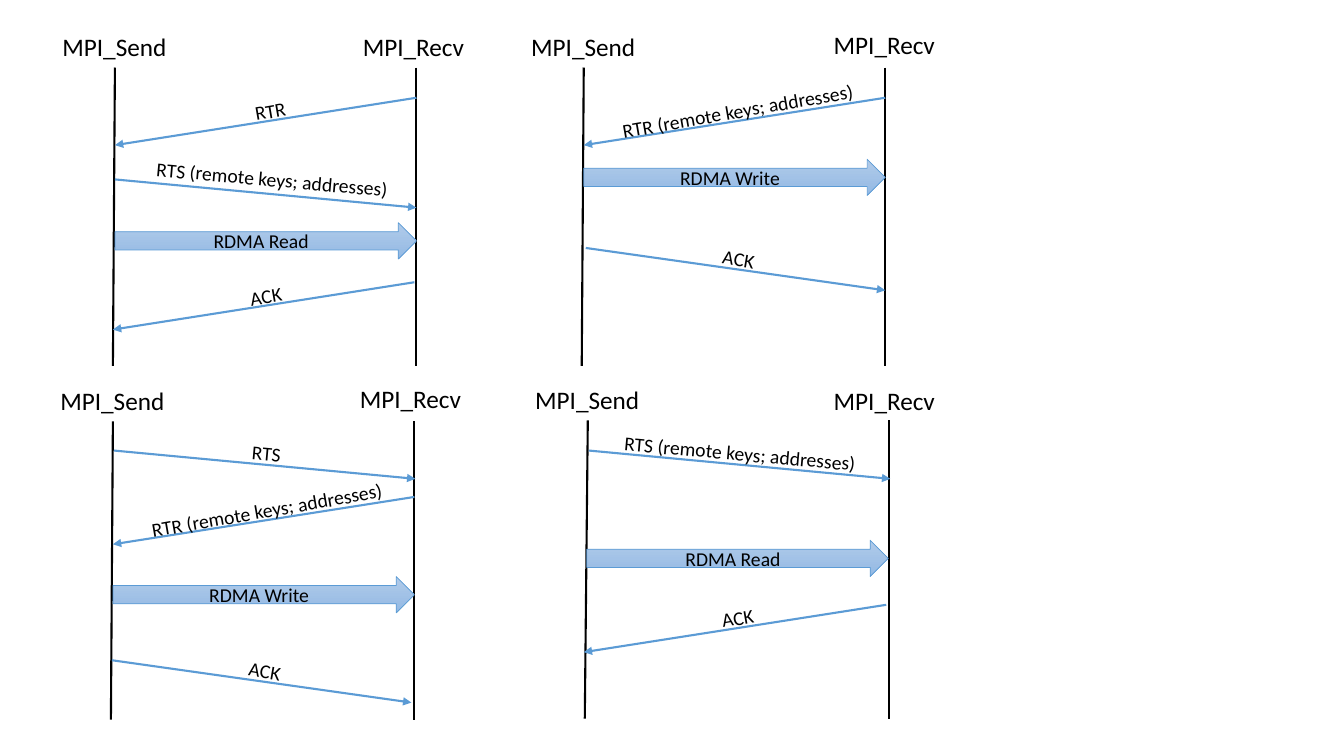
"""Draw four message sequences between MPI_Send and MPI_Recv."""
from dataclasses import dataclass

from lxml import etree
from pptx import Presentation
from pptx.dml.color import RGBColor
from pptx.enum.shapes import MSO_CONNECTOR, MSO_SHAPE
from pptx.enum.text import MSO_ANCHOR, MSO_AUTO_SIZE, PP_ALIGN
from pptx.oxml.ns import qn
from pptx.shapes.shapetree import GroupShapes
from pptx.text.text import TextFrame
from pptx.util import Inches, Pt

STRAIGHT = MSO_CONNECTOR.STRAIGHT
ARROW = MSO_SHAPE.RIGHT_ARROW
MIDDLE = MSO_ANCHOR.MIDDLE
GROW = MSO_AUTO_SIZE.SHAPE_TO_FIT_TEXT
CENTER = PP_ALIGN.CENTER

BLACK, BLUE = "000000", "5B9BD5"
FADE = ("B1CBE9", "93B9E4")
SPAN, DEPTH = 2.99, 2.96
BACK, DOWN, STEEP = 350.1, 5.1, 9.9
DROP = {BACK: 0.47, DOWN: 0.28, STEEP: 0.42}
KEYS = " (remote keys; addresses)"
WIDTH = {"RTR": 0.51, "RTS": 0.49, "ACK": 0.52,
         "RTR" + KEYS: 2.54, "RTS" + KEYS: 2.52}


@dataclass(frozen=True)
class Message:
    """A slanted arrow with its label, in slide inches."""
    text: str
    tilt: float
    start: float
    end: float
    top: float
    left: float
    label: float


@dataclass(frozen=True)
class Panel:
    """One sequence: lifelines, heads, data transfer and messages."""
    left: float
    top: float
    lean: float
    recv: tuple[float, float]
    data: tuple[str, float, float]
    notes: tuple[Message, ...]


PANELS = (
    Panel(1.14, 0.67, 0.02, (3.5, 0.26), ("RDMA Read", 1.14, 2.21), (
        Message("RTR", BACK, 4.13, 1.14, 0.97, 2.43, 0.93),
        Message("RTS" + KEYS, DOWN, 1.14, 4.13, 1.78, 1.45, 1.61),
        Message("ACK", BACK, 4.11, 1.12, 2.8, 2.38, 2.77))),
    Panel(5.79, 0.67, 0.02, (8.17, 0.24), ("RDMA Write", 5.79, 1.58), (
        Message("RTR" + KEYS, BACK, 8.78, 5.79, 0.97, 6.06, 0.93),
        Message("ACK", STEEP, 5.81, 8.78, 2.46, 7.07, 2.4))),
    Panel(1.12, 4.18, 0.02, (3.47, 3.75), ("RDMA Write", 1.12, 5.72), (
        Message("RTS", DOWN, 1.13, 4.12, 4.47, 2.4, 4.33),
        Message("RTR" + KEYS, BACK, 4.11, 1.12, 4.93, 1.39, 4.89),
        Message("ACK", STEEP, 1.11, 4.08, 6.55, 2.37, 6.49))),
    Panel(5.83, 4.17, 0.03, (8.17, 3.77), ("RDMA Read", 5.82, 5.36), (
        Message("RTS" + KEYS, DOWN, 5.84, 8.83, 4.47, 6.09, 4.33),
        Message("ACK", BACK, 8.79, 5.79, 6, 7.06, 5.96))),
)


def color(code: str) -> RGBColor:
    """Turn a hex string into a colour."""
    return RGBColor.from_string(code)


def write(frame: TextFrame, text: str, size: float) -> None:
    """Put one black Calibri run into a frame."""
    run = frame.paragraphs[0].add_run()
    run.text = text
    form = {"name": "Calibri", "size": Pt(size)}
    for key, value in form.items():
        setattr(run.font, key, value)
    run.font.color.rgb = color(BLACK)


def label(shapes: GroupShapes, text: str, left: float, top: float,
          width: float, high: float, size: float, tilt: float = 0) -> None:
    """Add an unwrapped text box."""
    box = shapes.add_textbox(*map(Inches, (left, top, width, high)))
    box.rotation = tilt
    form = {"word_wrap": False, "auto_size": GROW}
    for key, value in form.items():
        setattr(box.text_frame, key, value)
    write(box.text_frame, text, size)


def line(shapes: GroupShapes, ends: tuple[float, ...], code: str,
         head: bool = False) -> None:
    """Add a straight line, with an arrowhead if asked."""
    link = shapes.add_connector(STRAIGHT, *map(Inches, ends))
    link.line.color.rgb = color(code)
    link.line.width = Pt(1.5)
    props = link.element.spPr
    if head:
        etree.SubElement(props.find(qn("a:ln")), qn("a:tailEnd"),
                         type="triangle")
    etree.SubElement(props, qn("a:effectLst"))


def block(shapes: GroupShapes, text: str, left: float, top: float) -> None:
    """Add the broad arrow of a data transfer."""
    shape = shapes.add_shape(ARROW, *map(Inches, (left, top, SPAN, 0.36)))
    shape.shadow.inherit = False
    shape.fill.gradient()
    shape.fill.gradient_angle = 270
    for stop, (code, place) in zip(shape.fill.gradient_stops,
                                   zip(FADE, (0, 1))):
        stop.color.rgb = color(code)
        stop.position = place
    shape.line.color.rgb = color(BLUE)
    shape.line.width = Pt(0.5)
    shape.text_frame.vertical_anchor = MIDDLE
    shape.text_frame.paragraphs[0].alignment = CENTER
    write(shape.text_frame, text, 14)


def draw(shapes: GroupShapes, panel: Panel) -> None:
    """Draw one sequence."""
    left, top = panel.left, panel.top
    right, foot = left + SPAN, top + DEPTH
    line(shapes, (left, top, left - panel.lean, foot), BLACK)
    line(shapes, (right, top, right, foot), BLACK)
    label(shapes, "MPI_Send", left - 0.62, top - 0.41, 1.25, 0.4, 18)
    label(shapes, "MPI_Recv", *panel.recv, 1.22, 0.4, 18)
    block(shapes, *panel.data)
    for note in panel.notes:
        low = note.top + DROP[note.tilt]
        line(shapes, (note.start, note.top, note.end, low), BLUE, True)
        label(shapes, note.text, note.left, note.label, WIDTH[note.text],
              0.34, 14, note.tilt)


def main() -> None:
    """Build and save the slide."""
    deck = Presentation()
    deck.slide_width, deck.slide_height = Inches(13.33), Inches(7.5)
    slide = deck.slides.add_slide(deck.slide_layouts[6])
    for panel in PANELS:
        draw(slide.shapes.add_group_shape().shapes, panel)
    deck.save("out.pptx")


if __name__ == "__main__":
    main()
